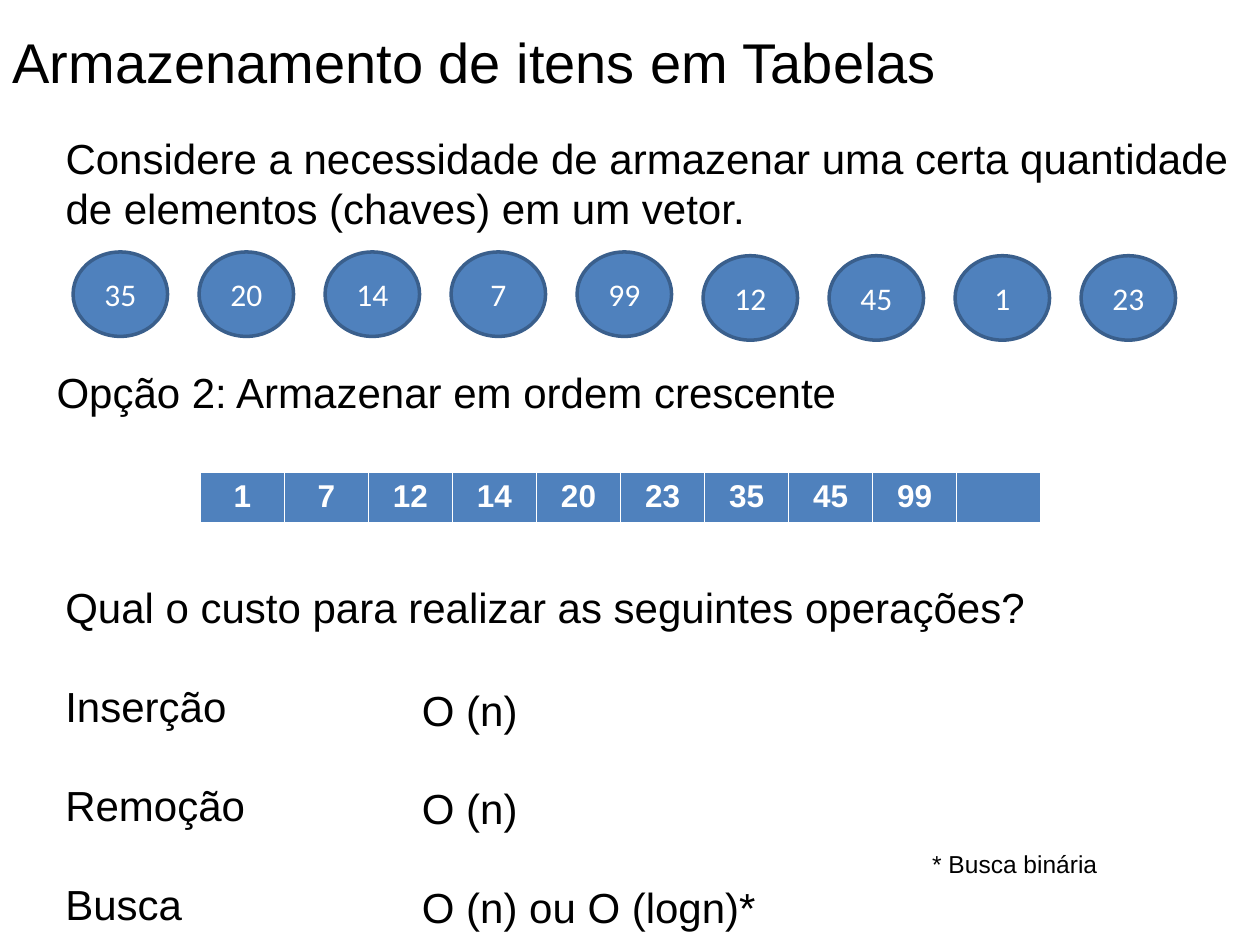
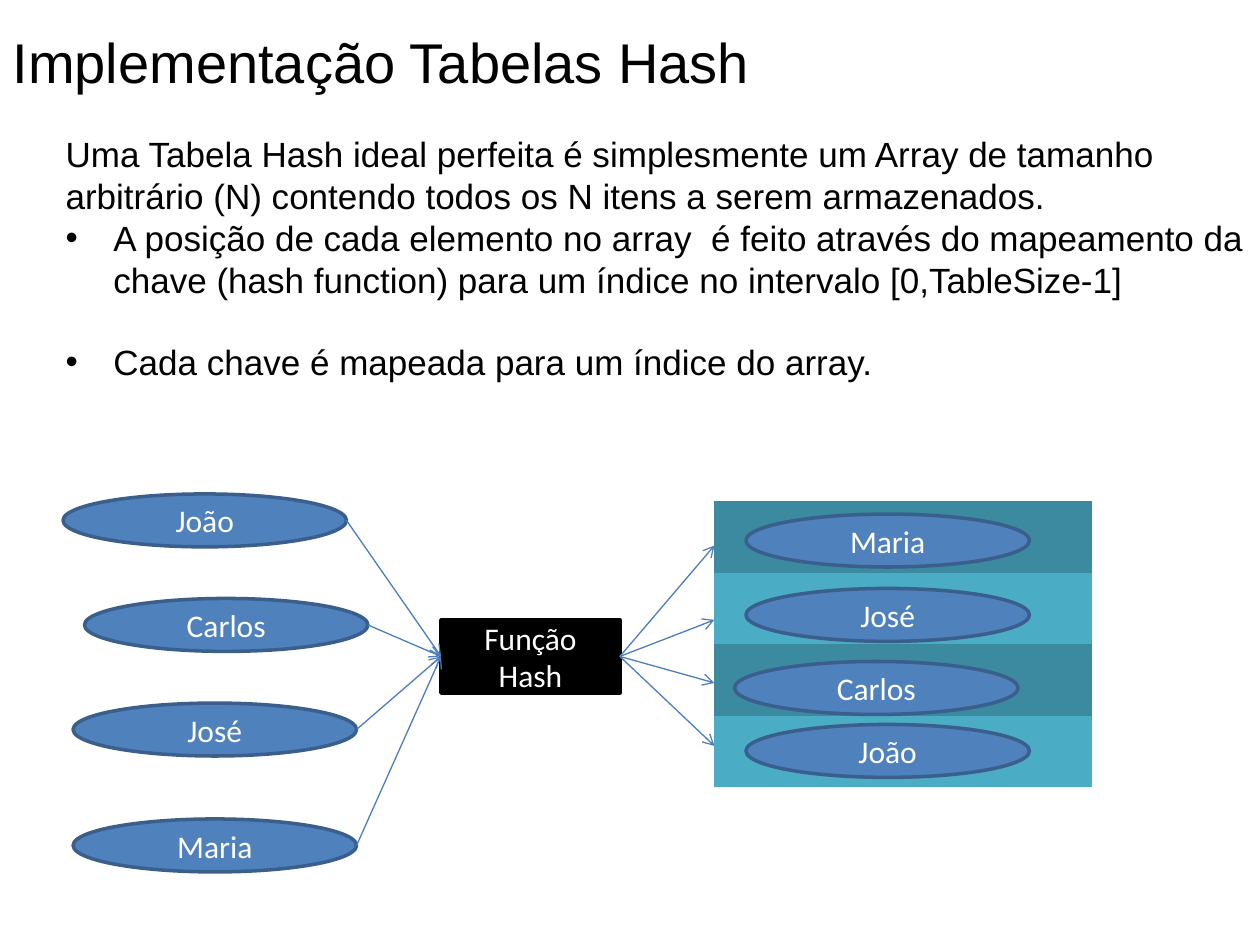
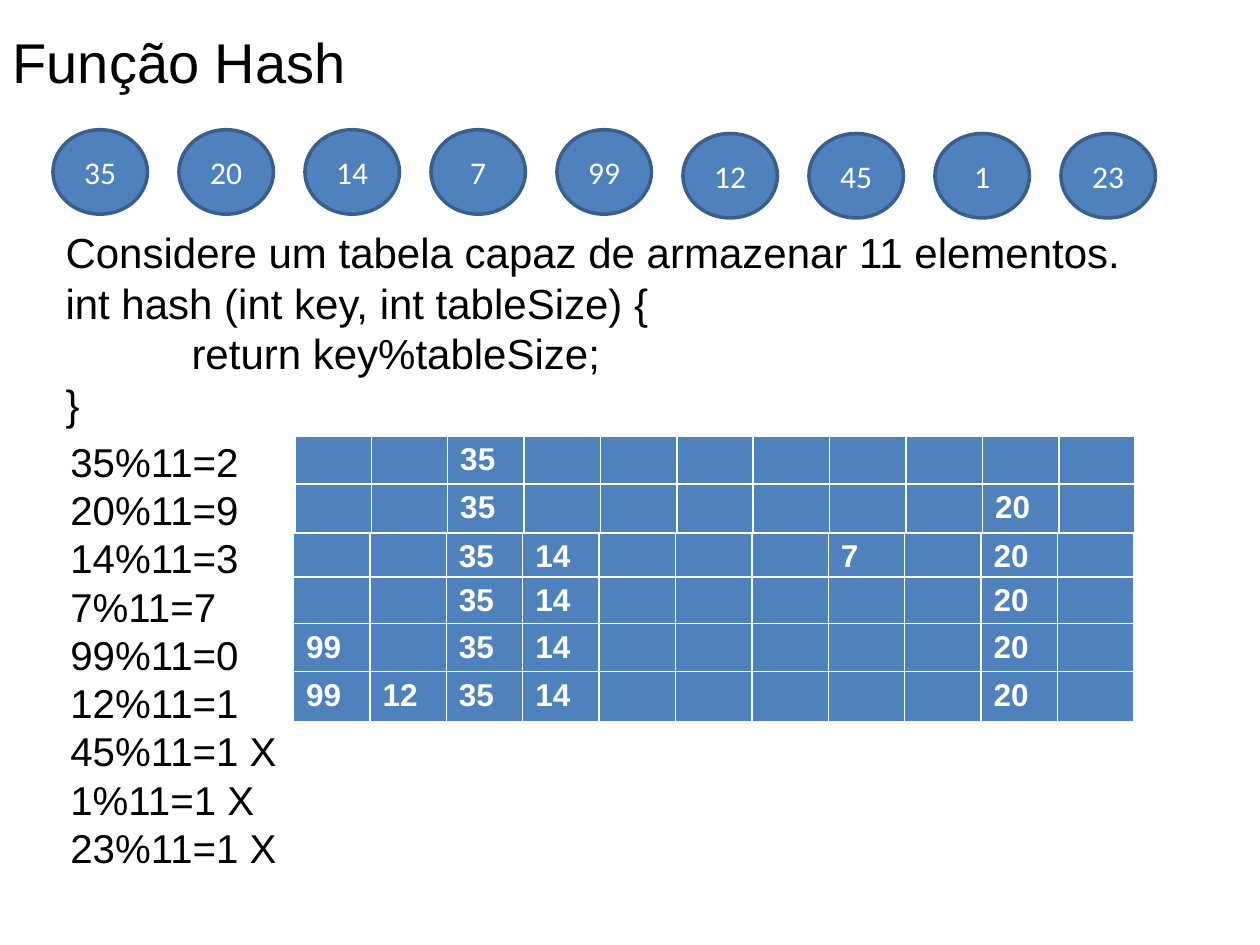
from lxml import etree
from pptx import Presentation
from pptx import util as u
from pptx.dml.color import RGBColor
from pptx.enum import shapes, text
from pptx.oxml import ns

BLACK = RGBColor(0, 0, 0)
WHITE = RGBColor(255, 255, 255)
BLUE = RGBColor(0x4F, 0x81, 0xBD)
NAVY = RGBColor(0x3A, 0x5F, 0x8C)
ARROW = RGBColor(0x4B, 0x7E, 0xBC)
TEAL = RGBColor(0x4B, 0xAC, 0xC6)
DARK_TEAL = RGBColor(0x3C, 0x8A, 0x9F)
PLAIN_TABLE = "{2D5ABB26-0587-4C30-8999-92F81FD0307C}"
LEFT, CENTER = text.PP_ALIGN.LEFT, text.PP_ALIGN.CENTER
TOP, MIDDLE = text.MSO_ANCHOR.TOP, text.MSO_ANCHOR.MIDDLE
OVAL, RECT = shapes.MSO_SHAPE.OVAL, shapes.MSO_SHAPE.RECTANGLE

# ---- Content ----
KEYS = [35, 20, 14, 7, 99, 12, 45, 1, 23]
STORAGE_INTRO = ["Considere a necessidade de armazenar uma certa quantidade "
                 "de elementos (chaves) em um vetor."]
STORAGE_OPTION = ["Opção 2: Armazenar em ordem crescente"]
OPERATIONS = ["Qual o custo para realizar as seguintes operações?",
              "Inserção", "Remoção", "Busca"]
COSTS = ["O (n)", "O (n)", "O (n) ou O (logn)*"]
COST_NOTE = ["* Busca binária"]

HASH_INTRO = [
    "Uma Tabela Hash ideal perfeita é simplesmente um Array de tamanho "
    "arbitrário (N) contendo todos os N itens a serem armazenados.",
    dict(t="A posição de cada elemento no array  é feito através do mapeamento "
           "da chave (hash function) para um índice no intervalo "
           "[0,TableSize-1]", bullet=True),
    dict(t="Cada chave é mapeada para um índice do array.", bullet=True,
         before=23)]
# name, key position, slot position, height where its arrow reaches the table
NAMES = [("João", (0.5, 3.92), (5.92, 5.75), 5.92),
         ("Carlos", (0.67, 4.75), (5.83, 5.25), 5.42),
         ("José", (0.58, 5.58), (5.92, 4.67), 4.92),
         ("Maria", (0.58, 6.5), (5.92, 4.08), 4.33)]

HASH_CODE = ["Considere um tabela capaz de armazenar 11 elementos.",
             "int hash (int key, int tableSize) {",
             dict(t="return key%tableSize;", indent=1), "}"]
TABLE_SIZE = 11
# left, top, filled positions
STEPS = [(2.34, 3.46, {2: 35}),
         (2.34, 3.84, {2: 35, 9: 20}),
         (2.33, 4.23, {2: 35, 3: 14, 7: 7, 9: 20}),
         (2.33, 4.58, {2: 35, 3: 14, 9: 20}),
         (2.33, 4.95, {0: 99, 2: 35, 3: 14, 9: 20}),
         (2.33, 5.33, {0: 99, 1: 12, 2: 35, 3: 14, 9: 20})]


# ---- Helpers ----
def place(sp, left, top, width, height):
    """Move and size a shape, in inches."""
    sp.left, sp.top = u.Inches(left), u.Inches(top)
    sp.width, sp.height = u.Inches(width), u.Inches(height)


def write(tf, paras, size=18, font="Arial", color=BLACK, bold=False,
          align=LEFT, anchor=TOP, before=0):
    """Fill a text frame; a paragraph is a string or a dict with extras."""
    tf.word_wrap = True
    tf.auto_size = text.MSO_AUTO_SIZE.NONE
    tf.vertical_anchor = anchor
    for i, para in enumerate(paras):
        item = para if isinstance(para, dict) else dict(t=para)
        p = tf.paragraphs[0] if i == 0 else tf.add_paragraph()
        p.alignment = align
        p.space_before = u.Pt(item.get("before", before if i else 0))
        bullet = item.get("bullet")
        pPr = p._p.get_or_add_pPr()
        hang = 0.38 if bullet else 0
        pPr.set("marL", str(u.Inches(item.get("indent", hang))))
        pPr.set("indent", str(-u.Inches(hang)))
        if bullet:
            etree.SubElement(pPr, ns.qn("a:buFont"), typeface="Arial")
            etree.SubElement(pPr, ns.qn("a:buChar"), char="•")
        else:
            etree.SubElement(pPr, ns.qn("a:buNone"))
        r = p.add_run()
        r.text = item["t"]
        r.font.size, r.font.name, r.font.bold = u.Pt(size), font, bold
        r.font.color.rgb = color


def new_slide(prs, title, title_width, body, box, size):
    """Add a slide with its title and main text."""
    s = prs.slides.add_slide(prs.slide_layouts[1])
    place(s.shapes.title, 0, 0.17, title_width, 0.64)
    write(s.shapes.title.text_frame, [title], size=32)
    place(s.placeholders[1], *box)
    write(s.placeholders[1].text_frame, body, size=size)
    return s


def add_text(s, paras, box, **fmt):
    """Add a text box."""
    sp = s.shapes.add_textbox(*map(u.Inches, box))
    write(sp.text_frame, paras, **fmt)


def add_node(s, label, box, kind=OVAL, fill=BLUE, line=NAVY):
    """Add a filled shape with a centred white label."""
    sp = s.shapes.add_shape(kind, *map(u.Inches, box))
    sp.shadow.inherit = False
    sp.fill.solid()
    sp.fill.fore_color.rgb = fill
    sp.line.color.rgb, sp.line.width = line, u.Pt(2)
    write(sp.text_frame, [str(label)], font="Calibri", color=WHITE,
          align=CENTER, anchor=MIDDLE)


def add_keys(s, left, top):
    """Add the row of keys; the last four sit slightly lower."""
    for i, key in enumerate(KEYS):
        add_node(s, key, (left + i, top + (0.03 if i > 4 else 0), 0.75, 0.67))


def add_arrow(s, start, end):
    """Add a thin arrow between two points."""
    c = s.shapes.add_connector(shapes.MSO_CONNECTOR.STRAIGHT,
                               *map(u.Inches, start + end))
    c.line.color.rgb, c.line.width = ARROW, u.Pt(0.75)
    etree.SubElement(c.line._get_or_add_ln(), ns.qn("a:tailEnd"), type="arrow")
    etree.SubElement(c._element.spPr, ns.qn("a:effectLst"))


def add_border(cell):
    """Give a cell white edges, the bottom one thicker."""
    for side, points in (("L", 1), ("R", 1), ("T", 1), ("B", 3)):
        ln = etree.SubElement(cell._tc.get_or_add_tcPr(), ns.qn("a:ln" + side),
                              w=str(u.Pt(points)))
        fill = etree.SubElement(ln, ns.qn("a:solidFill"))
        etree.SubElement(fill, ns.qn("a:srgbClr"), val=str(WHITE))


def add_grid(s, rows, box, fills=(BLUE,), border=True, align=LEFT):
    """Add a table whose rows take the fills in turn."""
    frame = s.shapes.add_table(len(rows), len(rows[0]), *map(u.Inches, box))
    table = frame.table
    table.first_row = table.horz_banding = False
    table._tbl.tblPr.find(ns.qn("a:tableStyleId")).text = PLAIN_TABLE
    for i, row in enumerate(rows):
        for j, value in enumerate(row):
            cell = table.cell(i, j)
            if border:
                add_border(cell)
            cell.fill.solid()
            cell.fill.fore_color.rgb = fills[i % len(fills)]
            if value != "":
                write(cell.text_frame, [str(value)], bold=True, color=WHITE,
                      align=align)


# ---- Slides ----
def storage_slide(prs):
    """Sorted array and the cost of its operations."""
    s = new_slide(prs, "Armazenamento de itens em Tabelas", 7.59,
                  STORAGE_INTRO, (0.42, 1, 9.58, 0.91), 24)
    add_keys(s, 0.58, 2)
    add_text(s, STORAGE_OPTION, (0.35, 2.86, 9.65, 0.5), size=24)
    add_text(s, OPERATIONS, (0.42, 4.57, 8.17, 2.93), size=24, before=27.6)
    add_text(s, COSTS, (3.25, 5.38, 3.08, 2.12), size=24, before=27.6)
    add_grid(s, [sorted(KEYS) + [""]], (1.59, 3.75, 6.67, 0.41), align=CENTER)
    add_text(s, COST_NOTE, (7.3, 6.69, 2.8, 0.34), size=14)


def mapping_slide(prs):
    """Names mapped to table slots by the hash function."""
    s = new_slide(prs, "Implementação Tabelas Hash", 6.22,
                  HASH_INTRO, (0.42, 1, 9.58, 2.12), 20)
    add_grid(s, [[""]] * 4, (5.67, 3.98, 3, 2.27),
             fills=(DARK_TEAL, TEAL), border=False)
    width, height = 2.25, 0.42
    add_node(s, "Função Hash", (3.5, 4.92, 1.42, 0.58), RECT, BLACK, BLACK)
    for name, key, slot, arrival in NAMES:
        add_node(s, name, key + (width, height))
        add_node(s, name, slot + (width, height))
        add_arrow(s, (key[0] + width, key[1] + height / 2), (3.5, 5.21))
        add_arrow(s, (4.92, 5.21), (5.67, arrival))


def function_slide(prs):
    """Step by step filling of the table."""
    s = new_slide(prs, "Função Hash", 2.99, HASH_CODE,
                  (0.42, 1.75, 9, 1.72), 24)
    add_keys(s, 0.42, 1.03)
    sums = [f"{k}%{TABLE_SIZE}={k % TABLE_SIZE}" + (" X" if i > 5 else "")
            for i, k in enumerate(KEYS)]
    add_text(s, sums, (0.46, 3.42, 1.88, 3.58), size=23)
    for left, top, filled in STEPS:
        row = [filled.get(i, "") for i in range(TABLE_SIZE)]
        add_grid(s, [row], (left, top, 6.67, 0.41))


prs = Presentation()
prs.slide_width, prs.slide_height = u.Inches(10), u.Inches(7.5)
storage_slide(prs)
mapping_slide(prs)
function_slide(prs)
prs.save("out.pptx")
